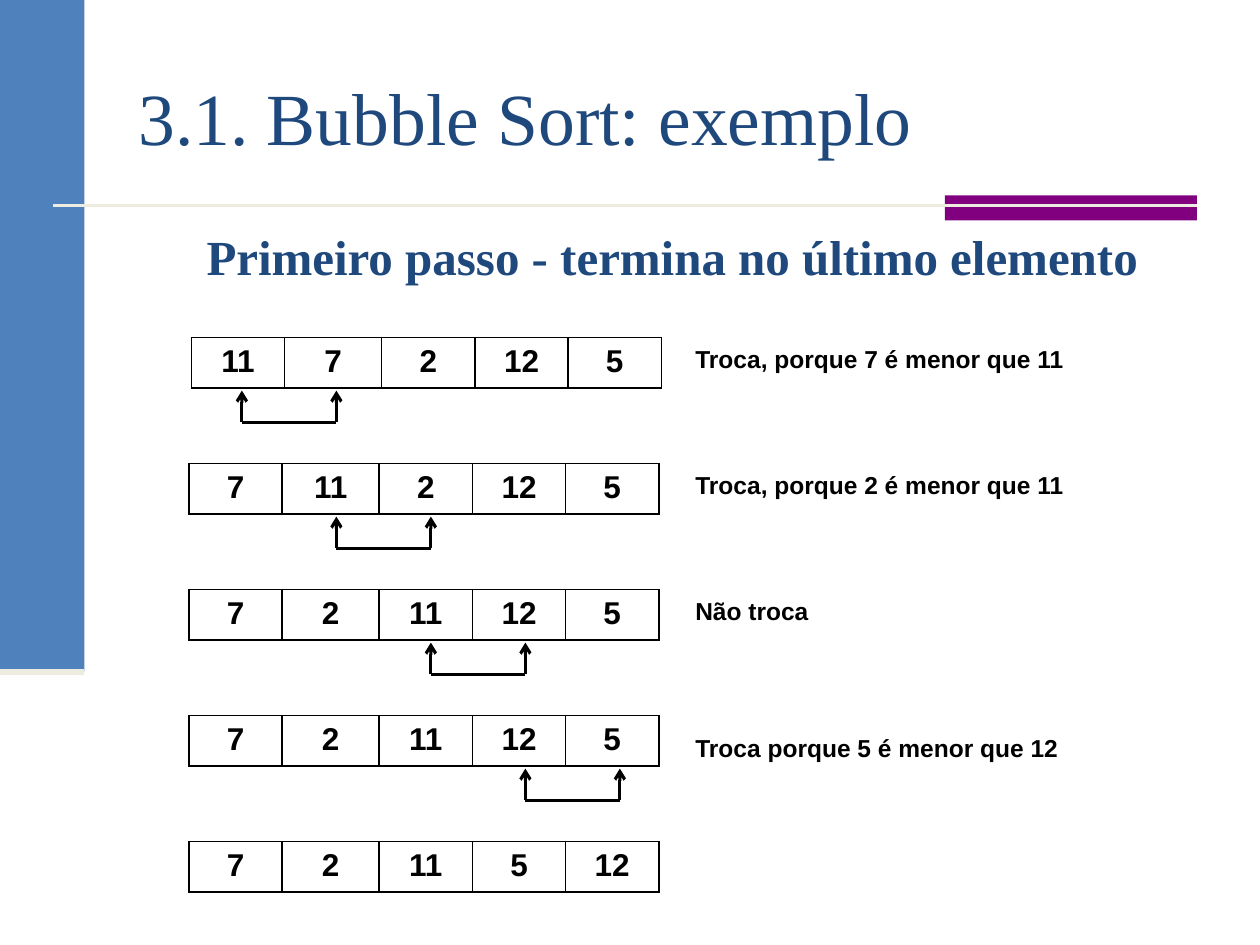
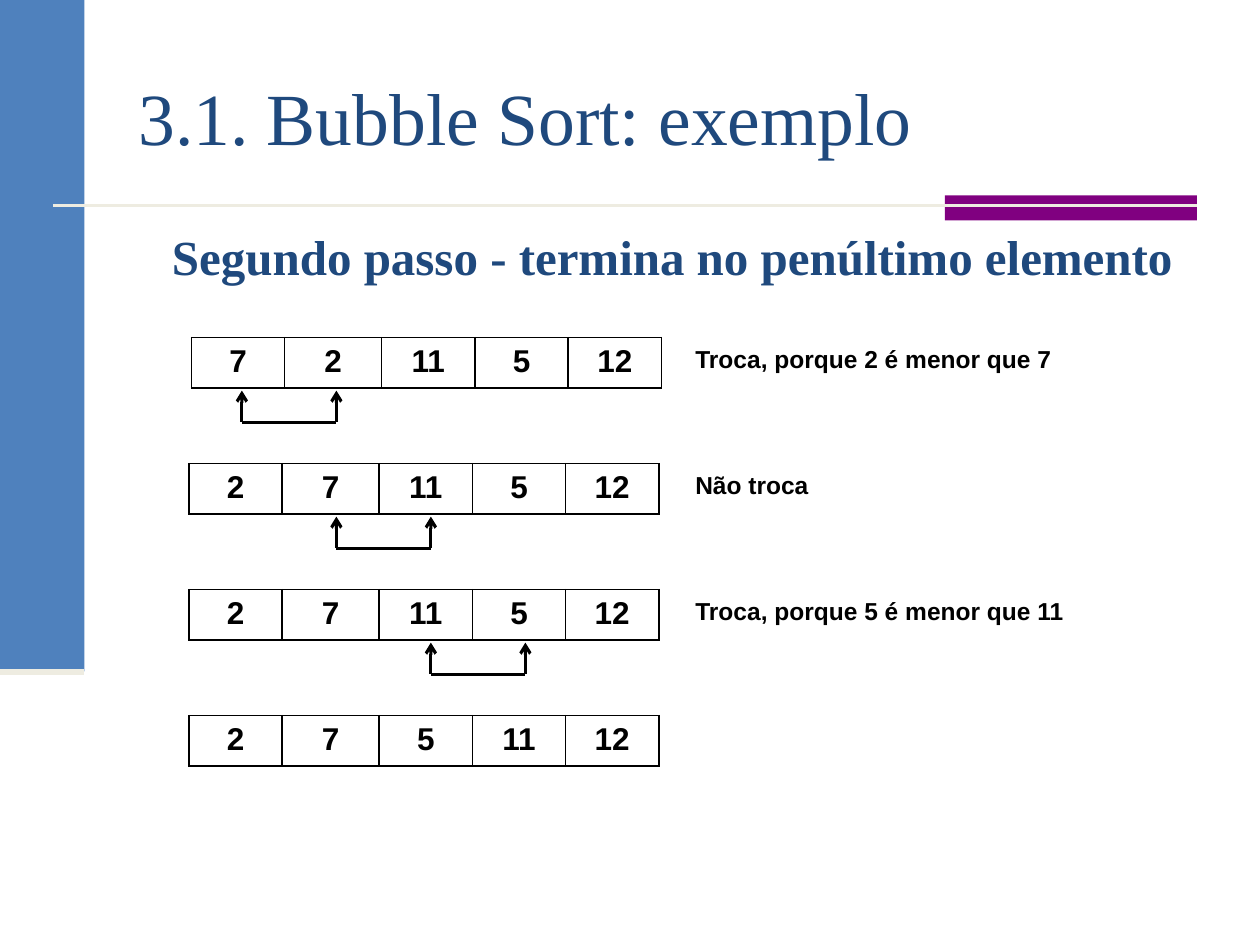
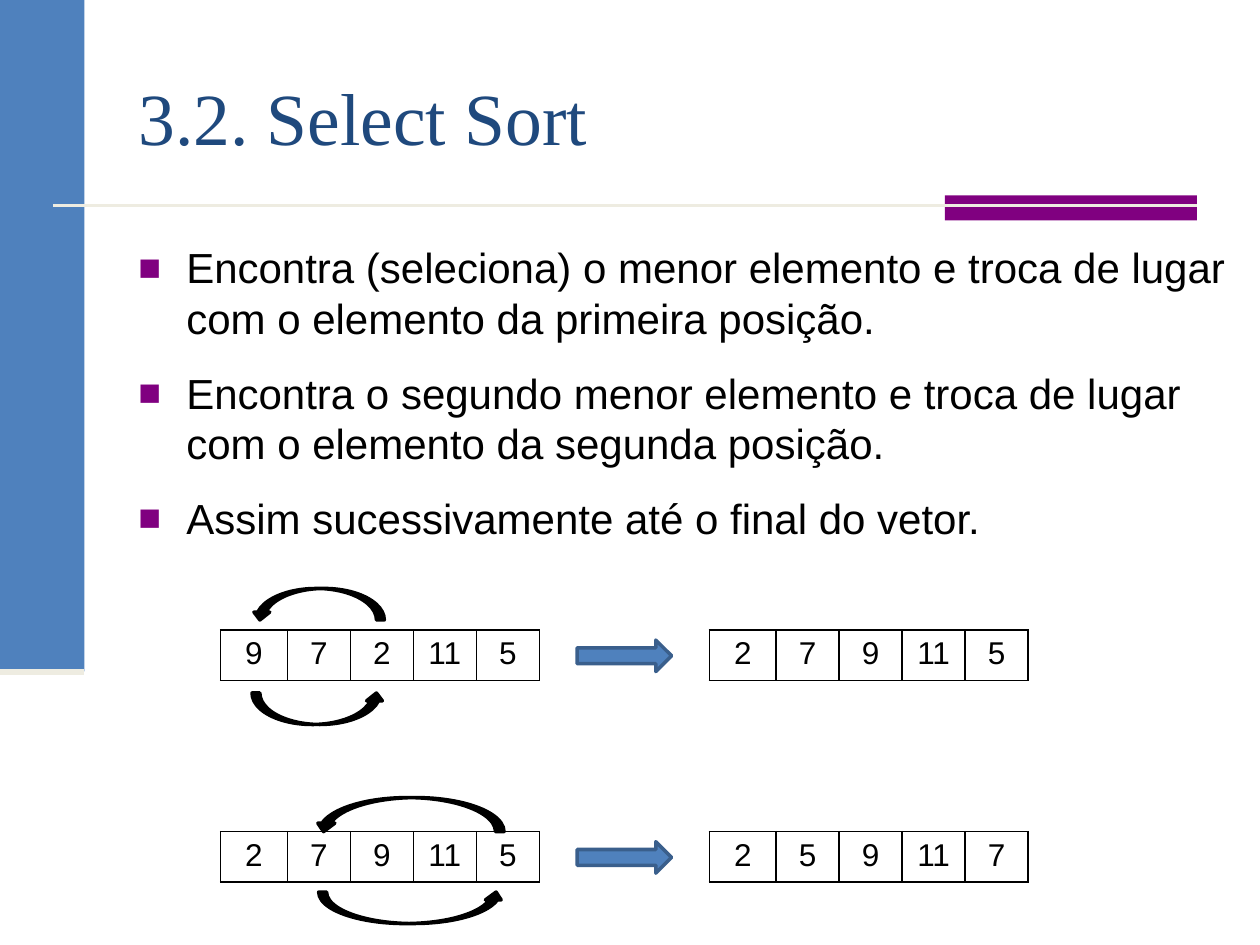
from dataclasses import dataclass

from lxml.etree import SubElement
from pptx import Presentation
from pptx.dml.color import RGBColor
from pptx.enum.shapes import MSO_CONNECTOR, MSO_SHAPE
from pptx.enum.text import MSO_ANCHOR, PP_ALIGN
from pptx.oxml.ns import qn
from pptx.presentation import Presentation as Deck
from pptx.shapes.autoshape import Shape
from pptx.shapes.connector import Connector
from pptx.slide import Slide
from pptx.util import Inches, Pt


@dataclass(frozen=True)
class Theme:
    blue: str = "4F81BD"
    blue_edge: str = "3A5F8C"
    purple: str = "800080"
    cream: str = "EEECE1"
    navy: str = "1F497D"
    black: str = "000000"
    serif: str = "Times New Roman"
    sans: str = "Arial"
    title_size: int = 42
    heading_size: int = 28
    body_size: int = 24
    cell_size: int = 18
    note_size: int = 14


@dataclass(frozen=True)
class Area:
    left: float
    top: float
    width: float
    height: float

    def lengths(self) -> tuple[Inches, Inches, Inches, Inches]:
        return Inches(self.left), Inches(self.top), Inches(self.width), Inches(self.height)


@dataclass(frozen=True)
class TextStyle:
    font: str
    size: int
    color: str
    bold: bool = False
    align: PP_ALIGN = PP_ALIGN.LEFT


@dataclass(frozen=True)
class Step:
    """One state of the array, with the comment on its comparison."""
    values: str
    note: str = ""
    note_drop: float = 0


@dataclass(frozen=True)
class BubblePass:
    heading: str
    steps: tuple[Step, ...]


@dataclass(frozen=True)
class Selection:
    """One swap of the selection sort and the places of its arrows."""
    top: float
    before: str
    after: str
    upper_arrow: Area
    lower_arrow: Area


THEME = Theme()
TITLE = TextStyle(THEME.serif, THEME.title_size, THEME.navy)
HEADING = TextStyle(THEME.serif, THEME.heading_size, THEME.navy, True, PP_ALIGN.CENTER)
BODY = TextStyle(THEME.sans, THEME.body_size, THEME.black)
NOTE = TextStyle(THEME.sans, THEME.note_size, THEME.black, True)
BOLD_CELL = TextStyle(THEME.sans, THEME.cell_size, THEME.black, True, PP_ALIGN.CENTER)
CELL = TextStyle(THEME.sans, THEME.cell_size, THEME.black, False, PP_ALIGN.CENTER)

WIDE_COLUMNS = (0.74, 0.77, 0.74, 0.74, 0.74)
NARROW_COLUMNS = (0.53, 0.5, 0.5, 0.5, 0.5)
ROW_HEIGHT = 0.4

BUBBLE_PASSES = (
    BubblePass("Primeiro passo - termina no último elemento", (
        Step("11 7 2 12 5", "Troca, porque 7 é menor que 11"),
        Step("7 11 2 12 5", "Troca, porque 2 é menor que 11"),
        Step("7 2 11 12 5", "Não troca"),
        Step("7 2 11 12 5", "Troca porque 5 é menor que 12", 0.09),
        Step("7 2 11 5 12"),
    )),
    BubblePass("Segundo passo - termina no penúltimo elemento", (
        Step("7 2 11 5 12", "Troca, porque 2 é menor que 7"),
        Step("2 7 11 5 12", "Não troca"),
        Step("2 7 11 5 12", "Troca, porque 5 é menor que 11"),
        Step("2 7 5 11 12"),
    )),
)

SELECTION_RULES = (
    "Encontra (seleciona) o menor elemento e troca de lugar com o elemento da primeira posição.",
    "Encontra o segundo menor elemento e troca de lugar com o elemento da segunda posição.",
    "Assim sucessivamente até o final do vetor.",
)

SELECTIONS = (
    Selection(5, "9 7 2 11 5", "2 7 9 11 5",
              Area(2, 4.67, 1.05, 0.25), Area(2, 5.5, 1.05, 0.25)),
    Selection(6.6, "2 7 9 11 5", "2 5 9 11 7",
              Area(2.5, 6.33, 1.5, 0.27), Area(2.53, 7.08, 1.47, 0.25)),
)


# Drawing helpers
def style_text(frame, style: TextStyle) -> None:
    for para in frame.paragraphs:
        para.alignment = style.align
        for span in para.runs:
            span.font.name = style.font
            span.font.size = Pt(style.size)
            span.font.bold = style.bold
            span.font.color.rgb = RGBColor.from_string(style.color)


def add_text(slide: Slide, area: Area, text: str, style: TextStyle) -> Shape:
    box = slide.shapes.add_textbox(*area.lengths())
    box.text_frame.word_wrap = True
    box.text_frame.text = text
    style_text(box.text_frame, style)
    return box


def add_figure(slide: Slide, kind: MSO_SHAPE, area: Area, fill: str, edge: str = "") -> Shape:
    figure = slide.shapes.add_shape(kind, *area.lengths())
    figure.shadow.inherit = False
    figure.fill.solid()
    figure.fill.fore_color.rgb = RGBColor.from_string(fill)
    if edge:
        figure.line.color.rgb = RGBColor.from_string(edge)
        figure.line.width = Pt(2)
    else:
        figure.line.fill.background()
    return figure


def add_line(slide: Slide, start: tuple[float, float], end: tuple[float, float],
             color: str, width: float) -> Connector:
    line = slide.shapes.add_connector(
        MSO_CONNECTOR.STRAIGHT, *(Inches(value) for value in start + end))
    line.line.color.rgb = RGBColor.from_string(color)
    line.line.width = Pt(width)
    SubElement(line._element.spPr, qn("a:effectLst"))
    return line


def add_borders(cell) -> None:
    properties = cell._tc.get_or_add_tcPr()
    for side in ("a:lnL", "a:lnR", "a:lnT", "a:lnB"):
        border = SubElement(properties, qn(side), w=str(Pt(1)))
        fill = SubElement(border, qn("a:solidFill"))
        SubElement(fill, qn("a:srgbClr"), val=THEME.black)


def add_array(slide: Slide, left: float, top: float, values: str,
              columns: tuple[float, ...], style: TextStyle) -> None:
    area = Area(left, top, sum(columns), ROW_HEIGHT)
    table = slide.shapes.add_table(1, len(columns), *area.lengths()).table
    table.first_row = table.horz_banding = False
    for index, (width, value) in enumerate(zip(columns, values.split())):
        table.columns[index].width = Inches(width)
        cell = table.cell(0, index)
        cell.text_frame.text = value
        style_text(cell.text_frame, style)
        add_borders(cell)
        cell.fill.background()


def add_swap_bracket(slide: Slide, left: float, row_top: float) -> None:
    right, tip, base = left + 0.75, row_top + 0.42, row_top + 0.67
    for across in (right, left):
        arrow = add_line(slide, (across, tip), (across, base), THEME.black, 1.75)
        SubElement(arrow.line._get_or_add_ln(), qn("a:headEnd"), type="arrow")
    add_line(slide, (left, base), (right, base), THEME.black, 1.75)


def add_bullets(slide: Slide, area: Area, lines: tuple[str, ...]) -> None:
    box = add_text(slide, area, "\n".join(lines), BODY)
    for para in box.text_frame.paragraphs:
        para.space_before = Pt(14)
        properties = para._p.get_or_add_pPr()
        properties.set("marL", str(Inches(0.38)))
        properties.set("indent", str(-Inches(0.38)))
        color = SubElement(properties, qn("a:buClr"))
        SubElement(color, qn("a:srgbClr"), val=THEME.purple)
        SubElement(properties, qn("a:buSzPct"), val="90000")
        SubElement(properties, qn("a:buFont"), typeface=THEME.sans)
        SubElement(properties, qn("a:buChar"), char="■")


# Slides
def add_page(deck: Deck, title: str) -> Slide:
    page = deck.slides.add_slide(deck.slide_layouts[6])
    add_figure(page, MSO_SHAPE.RECTANGLE, Area(0, 0, 0.67, 5.33), THEME.blue)
    add_figure(page, MSO_SHAPE.RECTANGLE, Area(7.5, 1.55, 2, 0.2), THEME.purple)
    add_line(page, (0.42, 1.63), (9.5, 1.63), THEME.cream, 1.5)
    add_line(page, (0, 5.33), (0.67, 5.33), THEME.cream, 3.5)
    box = add_text(page, Area(1, 0.3, 8.5, 1.25), title, TITLE)
    box.text_frame.vertical_anchor = MSO_ANCHOR.MIDDLE
    return page


def add_bubble_page(deck: Deck, bubble_pass: BubblePass) -> None:
    page = add_page(deck, "3.1. Bubble Sort: exemplo")
    for index, step in enumerate(bubble_pass.steps):
        top = 2.68 + index
        left = 1.5 if index else 1.52
        add_array(page, left, top, step.values, WIDE_COLUMNS, BOLD_CELL)
        if step.note:
            add_text(page, Area(5.42, top + step.note_drop, 3.83, 0.34), step.note, NOTE)
            add_swap_bracket(page, 1.92 + 0.75 * index, top)
    add_text(page, Area(0.92, 1.75, 8.83, 0.57), bubble_pass.heading, HEADING)


def add_selection_page(deck: Deck) -> None:
    page = add_page(deck, "3.2. Select Sort")
    add_bullets(page, Area(1, 1.87, 8.88, 2.54), SELECTION_RULES)
    for swap in SELECTIONS:
        add_array(page, 1.75, swap.top, swap.before, NARROW_COLUMNS, CELL)
        for area, rotation in ((swap.lower_arrow, 0), (swap.upper_arrow, 180)):
            arrow = add_figure(page, MSO_SHAPE.CURVED_UP_ARROW, area, THEME.black, THEME.black)
            arrow.rotation = rotation
        add_array(page, 5.63, swap.top, swap.after, NARROW_COLUMNS, CELL)
        add_figure(page, MSO_SHAPE.RIGHT_ARROW, Area(4.58, swap.top + 0.08, 0.75, 0.25),
                   THEME.blue, THEME.blue_edge)


def main() -> None:
    deck = Presentation()
    deck.slide_width, deck.slide_height = Inches(10), Inches(7.5)
    for bubble_pass in BUBBLE_PASSES:
        add_bubble_page(deck, bubble_pass)
    add_selection_page(deck)
    deck.save("out.pptx")


if __name__ == "__main__":
    main()
